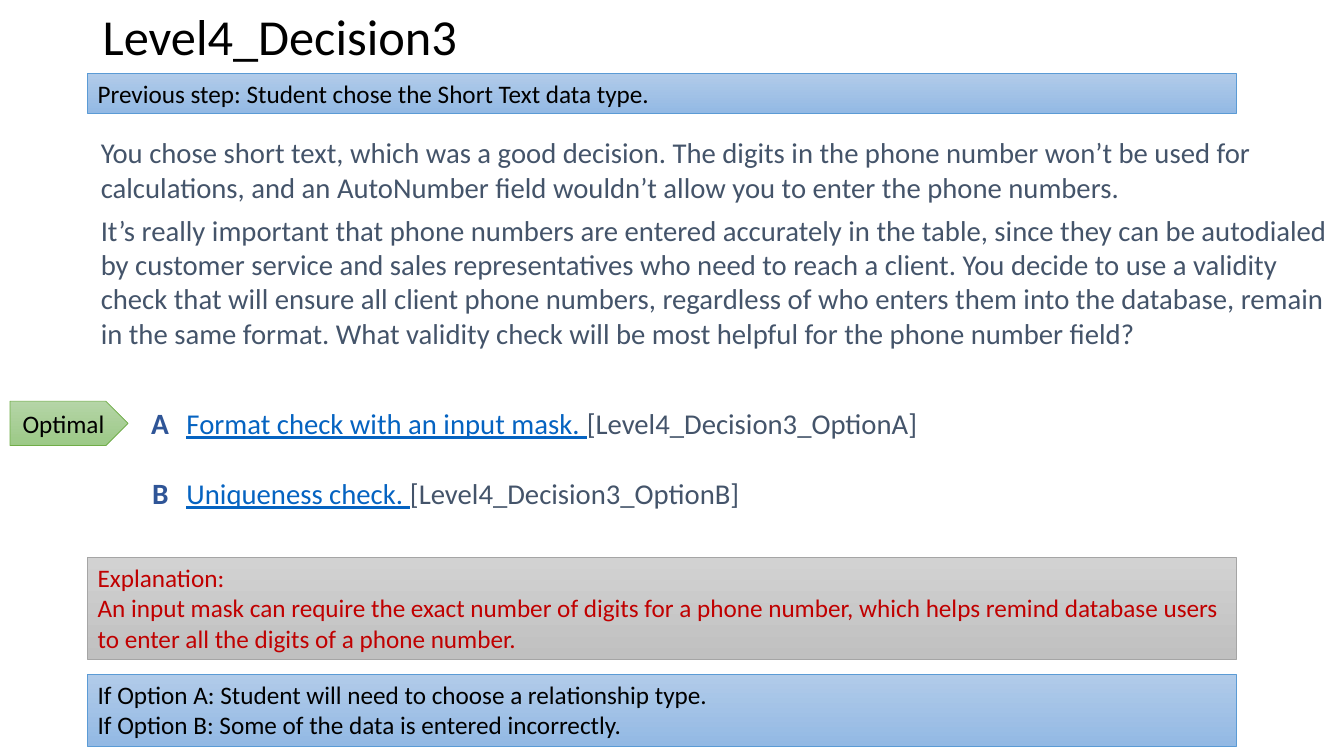
from dataclasses import dataclass

from pptx import Presentation
from pptx.dml.color import RGBColor
from pptx.enum.shapes import MSO_SHAPE
from pptx.enum.text import MSO_ANCHOR, PP_ALIGN
from pptx.slide import Slide
from pptx.text.text import TextFrame
from pptx.util import Inches, Pt

BLACK = RGBColor(0x00, 0x00, 0x00)
SLATE = RGBColor(0x44, 0x54, 0x6A)
LINK = RGBColor(0x05, 0x63, 0xC1)
NAVY = RGBColor(0x2F, 0x55, 0x97)
RED = RGBColor(0xC0, 0x00, 0x00)
BLUE_TOP = RGBColor(0xB1, 0xCB, 0xE9)
BLUE_BOTTOM = RGBColor(0x93, 0xB9, 0xE4)
BLUE_LINE = RGBColor(0x5B, 0x9B, 0xD5)
GREY_TOP = RGBColor(0xD2, 0xD2, 0xD2)
GREY_BOTTOM = RGBColor(0xC0, 0xC0, 0xC0)
GREY_LINE = RGBColor(0xA5, 0xA5, 0xA5)
GREEN_TOP = RGBColor(0xB5, 0xD5, 0xA7)
GREEN_BOTTOM = RGBColor(0x9C, 0xC9, 0x87)
GREEN_LINE = RGBColor(0x70, 0xAD, 0x47)

FONT = "Calibri"
BAR_LEFT, BAR_WIDTH = 0.87, 11.39


@dataclass(frozen=True)
class Palette:
    top: RGBColor
    bottom: RGBColor
    line: RGBColor


@dataclass(frozen=True)
class Panel:
    left: float
    top: float
    width: float
    height: float
    text: str
    palette: Palette
    color: RGBColor = BLACK
    kind: MSO_SHAPE = MSO_SHAPE.RECTANGLE
    align: PP_ALIGN = PP_ALIGN.LEFT
    anchor: MSO_ANCHOR = MSO_ANCHOR.TOP


@dataclass(frozen=True)
class Label:
    left: float
    top: float
    width: float
    height: float
    text: str
    size: float
    color: RGBColor
    bold: bool = False
    space_after: float = 0
    inset: tuple[float, float] = (0.13, 0.07)


BLUE = Palette(BLUE_TOP, BLUE_BOTTOM, BLUE_LINE)
GREY = Palette(GREY_TOP, GREY_BOTTOM, GREY_LINE)
GREEN = Palette(GREEN_TOP, GREEN_BOTTOM, GREEN_LINE)

TITLE = Label(0.92, 0.04, 11.5, 0.7, "Level4_Decision3", 36, BLACK, inset=(0.1, 0.05))
STORY = Label(
    0.87, 1.27, 12.46, 2.46,
    "You chose short text, which was a good decision. The digits in the phone number "
    "won’t be used for calculations, and an AutoNumber field wouldn’t allow you to enter "
    "the phone numbers.\n"
    "It’s really important that phone numbers are entered accurately in the table, since "
    "they can be autodialed by customer service and sales representatives who need to "
    "reach a client. You decide to use a validity check that will ensure all client phone "
    "numbers, regardless of who enters them into the database, remain in the same format. "
    "What validity check will be most helpful for the phone number field?",
    20.5, SLATE, space_after=6,
)
OPTIONS = Label(
    1.72, 3.96, 7.9, 1.35,
    "Format check with an input mask. \nUniqueness check. ",
    20.5, LINK, space_after=25,
)
TARGETS = ("[Level4_Decision3_OptionA]", "[Level4_Decision3_OptionB]")
LETTERS = (
    Label(1.37, 3.95, 0.68, 0.58, "A", 21, NAVY, bold=True),
    Label(1.38, 4.64, 0.7, 0.44, "B", 21, NAVY, bold=True),
)
PANELS = (
    Panel(
        BAR_LEFT, 5.53, BAR_WIDTH, 1.01,
        "Explanation:\nAn input mask can require the exact number of digits for a phone "
        "number, which helps remind database users to enter all the digits of a phone number.",
        GREY, RED,
    ),
    Panel(
        0.1, 3.98, 1.17, 0.44, "Optimal", GREEN,
        kind=MSO_SHAPE.PENTAGON, align=PP_ALIGN.CENTER, anchor=MSO_ANCHOR.MIDDLE,
    ),
    Panel(
        BAR_LEFT, 6.69, BAR_WIDTH, 0.71,
        "If Option A: Student will need to choose a relationship type.\n"
        "If Option B: Some of the data is entered incorrectly.",
        BLUE,
    ),
    Panel(
        BAR_LEFT, 0.73, BAR_WIDTH, 0.4,
        "Previous step: Student chose the Short Text data type.", BLUE,
    ),
)


def write_text(tf: TextFrame, text: str, size: float, color: RGBColor, bold: bool = False) -> None:
    tf.word_wrap = True
    tf.text = text
    for p in tf.paragraphs:
        for r in p.runs:
            r.font.name = FONT
            r.font.size = Pt(size)
            r.font.bold = bold
            r.font.color.rgb = color


def add_label(s: Slide, label: Label) -> TextFrame:
    box = (label.left, label.top, label.width, label.height)
    tf = s.shapes.add_textbox(*map(Inches, box)).text_frame
    tf.margin_left = tf.margin_right = Inches(label.inset[0])
    tf.margin_top = tf.margin_bottom = Inches(label.inset[1])
    write_text(tf, label.text, label.size, label.color, label.bold)
    for p in tf.paragraphs:
        p.space_after = Pt(label.space_after)
    return tf


def add_panel(s: Slide, panel: Panel) -> None:
    box = (panel.left, panel.top, panel.width, panel.height)
    sp = s.shapes.add_shape(panel.kind, *map(Inches, box))
    sp.shadow.inherit = False
    sp.fill.gradient()
    sp.fill.gradient_angle = 270
    for stop, color in zip(sp.fill.gradient_stops, (panel.palette.top, panel.palette.bottom)):
        stop.color.rgb = color
    sp.line.color.rgb = panel.palette.line
    sp.line.width = Pt(0.5)
    tf = sp.text_frame
    tf.vertical_anchor = panel.anchor
    write_text(tf, panel.text, 18, panel.color)
    for p in tf.paragraphs:
        p.alignment = panel.align


def add_options(s: Slide) -> None:
    tf = add_label(s, OPTIONS)
    for p, target in zip(tf.paragraphs, TARGETS):
        p.runs[0].font.underline = True
        r = p.add_run()
        r.text = target
        r.font.name = FONT
        r.font.size = Pt(OPTIONS.size)
        r.font.color.rgb = SLATE


def main() -> None:
    """Build the decision slide and save it."""
    prs = Presentation()
    prs.slide_width, prs.slide_height = Inches(13.33), Inches(7.5)
    s = prs.slides.add_slide(prs.slide_layouts[6])
    add_label(s, STORY)
    add_options(s)
    for letter in LETTERS:
        add_label(s, letter)
    title = add_label(s, TITLE)
    title.vertical_anchor = MSO_ANCHOR.MIDDLE
    title.paragraphs[0].line_spacing = 0.9
    for panel in PANELS:
        add_panel(s, panel)
    prs.save("out.pptx")


if __name__ == "__main__":
    main()
